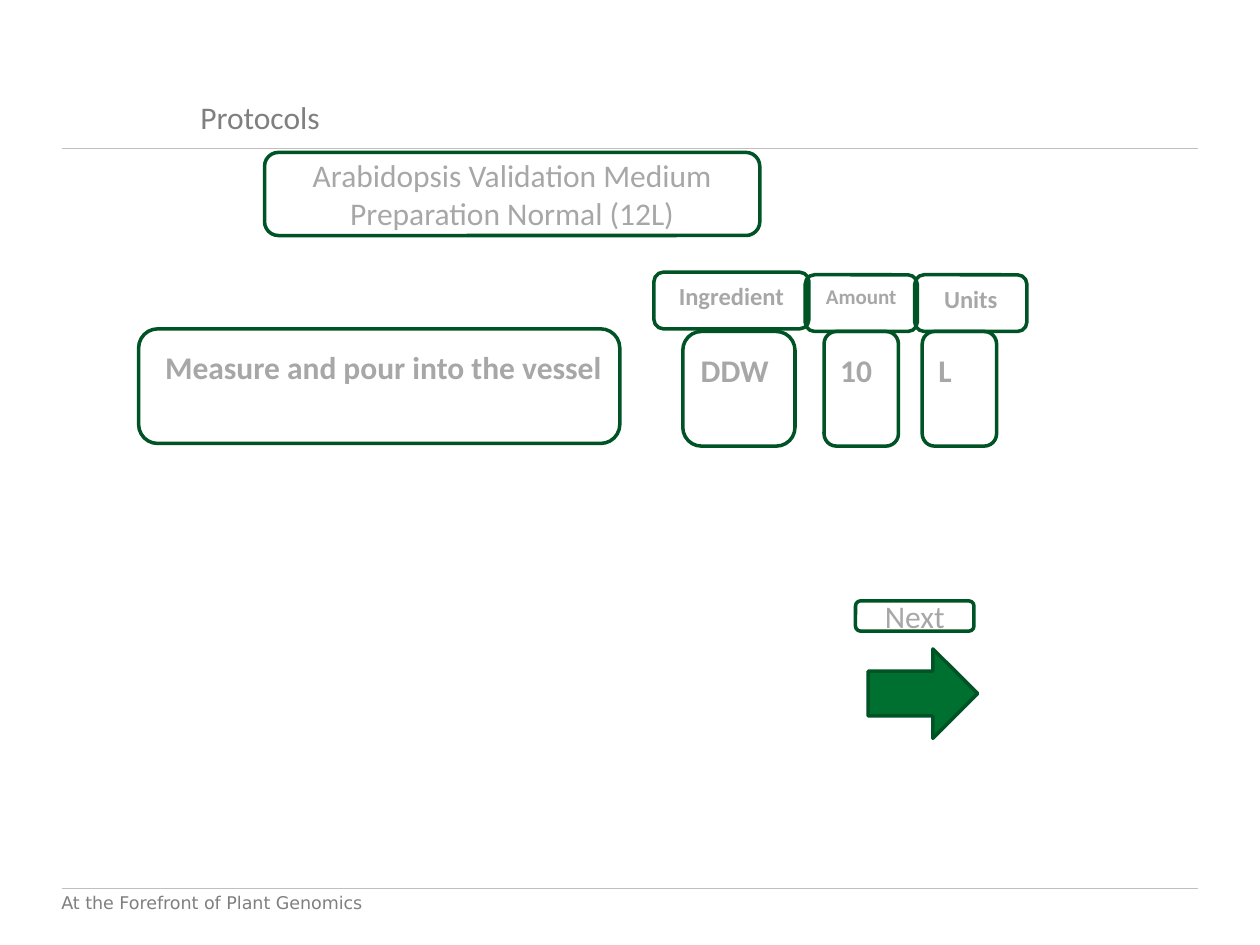
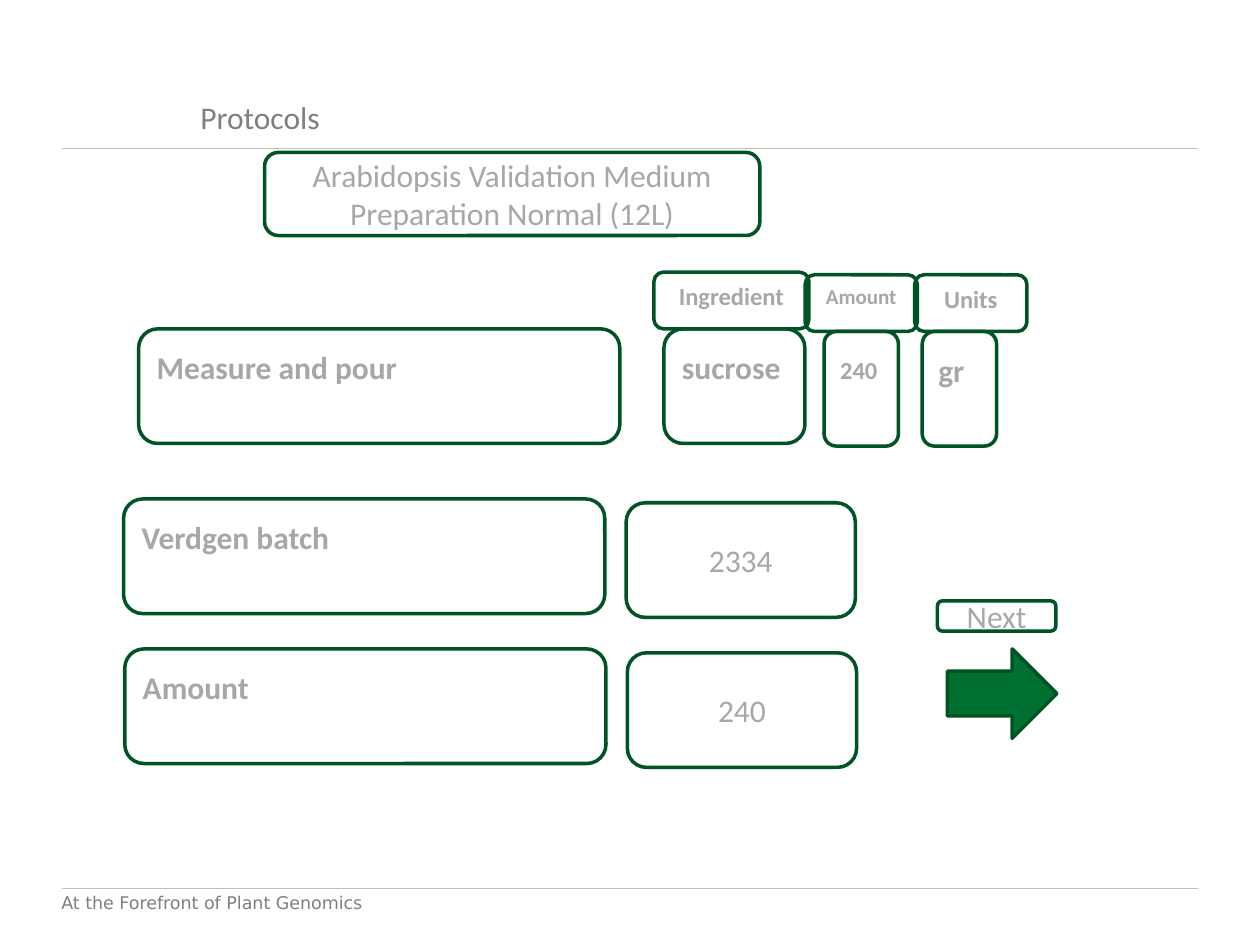
from dataclasses import dataclass

from lxml.etree import SubElement
from pptx import Presentation
from pptx.dml.color import RGBColor
from pptx.enum.shapes import MSO_CONNECTOR, MSO_SHAPE
from pptx.enum.text import MSO_ANCHOR, MSO_AUTO_SIZE, PP_ALIGN
from pptx.oxml.ns import qn
from pptx.slide import Slide
from pptx.text.text import TextFrame
from pptx.util import Pt


@dataclass(frozen=True)
class Theme:
    font: str = "Calibri"
    foot_font: str = "DejaVu Sans"
    grey: RGBColor = RGBColor(0x7F, 0x7F, 0x7F)
    pale: RGBColor = RGBColor(0xA7, 0xA7, 0xA7)
    rule: RGBColor = RGBColor(0xBF, 0xBF, 0xBF)
    edge: RGBColor = RGBColor(0x00, 0x53, 0x24)
    green: RGBColor = RGBColor(0x00, 0x70, 0x30)
    body: float = 18
    label: float = 14
    small: float = 12
    foot: float = 10


THEME = Theme()
TALL = 65.5   # height of step and value boxes
LIFT = 22     # room kept under a lifted line of text
ROW = 85.7    # distance between entry rows


@dataclass(frozen=True)
class Box:
    """A rounded box with one line of text; all lengths in points."""
    x: float
    y: float
    w: float
    h: float
    text: str
    size: float = THEME.body
    bold: bool = True
    align: PP_ALIGN = PP_ALIGN.LEFT
    anchor: MSO_ANCHOR = MSO_ANCHOR.MIDDLE
    lift: float = 0


@dataclass(frozen=True)
class Page:
    step: Box
    cells: list[Box]
    next_x: float
    arrow_x: float
    fields: list[Box]


# Kinds of box
def tall(x: float, y: float, w: float, text: str, size: float = THEME.body,
         align: PP_ALIGN = PP_ALIGN.LEFT) -> Box:
    return Box(x, y, w, TALL, text, size, align=align, lift=LIFT)


def plain(x: float, y: float, w: float, h: float, text: str) -> Box:
    return Box(x, y, w, h, text, bold=False, align=PP_ALIGN.CENTER)


def head(x: float, y: float, w: float, text: str, size: float) -> Box:
    return Box(x, y, w, 32.4, text, size, align=PP_ALIGN.CENTER, anchor=MSO_ANCHOR.TOP)


def entry(row: int, label: str, value: str) -> list[Box]:
    x, y = 70.6 + 0.7 * row, 285.1 + ROW * row
    return [tall(x, y, 275, label), plain(x + 287.2, y + 2.2, 131, TALL, value)]


# Shared and single slide content
NAME = plain(151.2, 87.1, 283, 47.5,
             "Arabidopsis Validation Medium Preparation Normal (12L)")
HEADS = [
    head(373.7, 155.5, 88.6, "Ingredient", THEME.label),
    head(460.1, 157, 64.1, "Amount", THEME.small),
    head(522.7, 157, 64.1, "Units", THEME.label),
]
PAGES = [
    Page(
        tall(79.2, 187.9, 275, "Measure and pour into the vessel", align=PP_ALIGN.RIGHT),
        [tall(390.2, 189.4, 64.1, "DDW"),
         tall(470.9, 189.4, 42.5, "10"),
         tall(527, 189.4, 42.5, "L")],
        488.9, 496.1, [],
    ),
    Page(
        tall(79.2, 187.9, 275, "Measure and pour"),
        [tall(379.4, 187.9, 80.6, "sucrose"),
         tall(470.9, 189.4, 42.5, "240", THEME.label),
         tall(527, 189.4, 42.5, "gr")],
        535.7, 541.4,
        entry(0, "Verdgen batch", "2334") + entry(1, "Amount", "240"),
    ),
]


# Drawing functions
def write(frame: TextFrame, text: str, size: float, color: RGBColor,
          font: str = THEME.font, bold: bool = False,
          align: PP_ALIGN = PP_ALIGN.LEFT) -> None:
    line = frame.paragraphs[0]
    line.alignment = align
    run = line.add_run()
    run.text = text
    run.font.name = font
    run.font.size = Pt(size)
    run.font.bold = bold
    run.font.color.rgb = color


def draw_box(slide: Slide, box: Box) -> None:
    shape = slide.shapes.add_shape(MSO_SHAPE.ROUNDED_RECTANGLE,
                                   Pt(box.x), Pt(box.y), Pt(box.w), Pt(box.h))
    shape.shadow.inherit = False
    shape.fill.background()
    shape.line.color.rgb = THEME.edge
    shape.line.width = Pt(2)
    frame = shape.text_frame
    frame.word_wrap = True
    frame.vertical_anchor = box.anchor
    frame.margin_bottom = Pt(3.6 + box.lift)
    write(frame, box.text, box.size, THEME.pale, bold=box.bold, align=box.align)


def draw_arrow(slide: Slide, x: float) -> None:
    arrow = slide.shapes.add_shape(MSO_SHAPE.RIGHT_ARROW,
                                   Pt(x), Pt(370.8), Pt(62.6), Pt(51.1))
    arrow.shadow.inherit = False
    arrow.fill.solid()
    arrow.fill.fore_color.rgb = THEME.green
    arrow.line.color.rgb = THEME.edge
    arrow.line.width = Pt(2)


def draw_rule(slide: Slide, y: float) -> None:
    rule = slide.shapes.add_connector(MSO_CONNECTOR.STRAIGHT,
                                      Pt(35.3), Pt(y), Pt(684.7), Pt(y))
    rule.line.color.rgb = THEME.rule
    rule.line.width = Pt(0.75)
    SubElement(rule.element.spPr, qn("a:effectLst"))


def draw_frame(slide: Slide) -> None:
    # Rules and footer
    for y in (85, 507.6):
        draw_rule(slide, y)
    foot = slide.shapes.add_textbox(Pt(28), Pt(506.2), Pt(312.5), Pt(23))
    foot.text_frame.word_wrap = True
    write(foot.text_frame, "At the Forefront of Plant Genomics", THEME.foot,
          THEME.grey, THEME.foot_font)
    # Title
    title = slide.shapes.title
    title.left, title.top, title.width, title.height = Pt(107.3), Pt(52.6), Pt(87.1), Pt(29)
    frame = title.text_frame
    frame.auto_size = MSO_AUTO_SIZE.NONE
    frame.word_wrap = False
    frame.vertical_anchor = MSO_ANCHOR.TOP
    write(frame, "Protocols", THEME.body, THEME.grey)


def draw_page(slide: Slide, page: Page) -> None:
    draw_frame(slide)
    draw_box(slide, page.step)
    draw_box(slide, NAME)
    draw_arrow(slide, page.arrow_x)
    draw_box(slide, plain(page.next_x, 343.4, 67.7, 17.3, "Next"))
    for box in page.cells + HEADS + page.fields:
        draw_box(slide, box)


def main() -> None:
    deck = Presentation()
    deck.slide_width, deck.slide_height = Pt(720), Pt(540)
    layout = deck.slide_layouts.get_by_name("Title Only")
    for page in PAGES:
        draw_page(deck.slides.add_slide(layout), page)
    deck.save("out.pptx")


if __name__ == "__main__":
    main()
